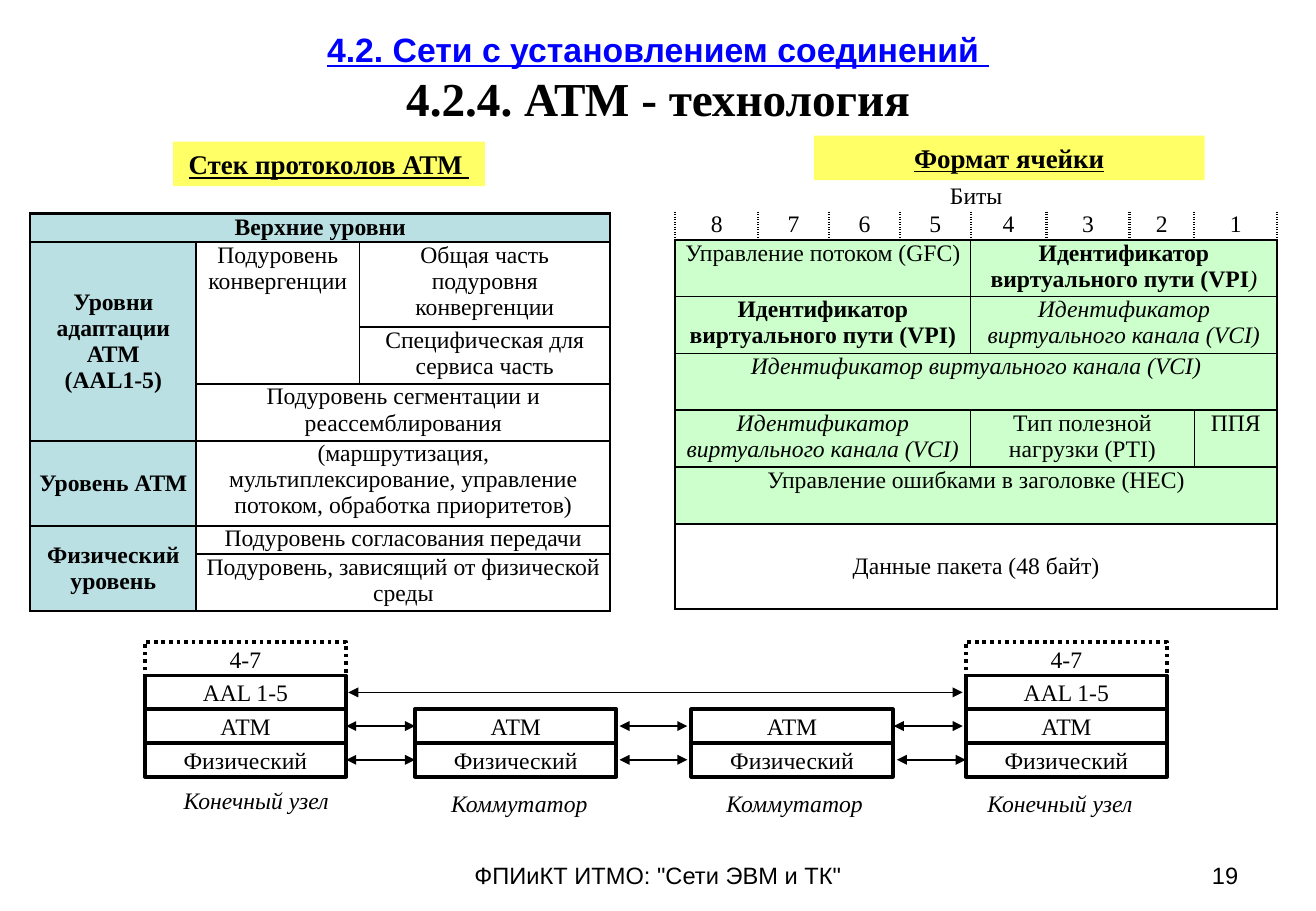
from lxml import etree
from pptx import Presentation
from pptx import util as u
from pptx.dml.color import RGBColor
from pptx.enum import dml, shapes, text
from pptx.oxml.ns import qn

UNIT = u.Inches(1) / 12
COLUMNS, ROWS = 130, 90
TEXT_ROW = 2.8
LEVEL_ROW = 3.33
PHYSICAL_TOP = 73.4
NODE_WIDTH = 19.9
SANS, SERIF = "Arial", "Times New Roman"
COLORS = {"ink": "000000", "title": "0000FF", "label": "FFFF66",
          "layer": "BBE0E3", "header": "CCFFCC", "paper": "FFFFFF"}
EDGES = {"T": 1.5, "t": 1, "d": 1.5}
LEVELS = ["Физический", "АТМ", "ААL 1-5", "4-7"]

STACK_CELLS = [
    (0, 0, 1, 3, "Верхние уровни", "layer", "b", "TTTT"),
    (1, 0, 3, 1, "Уровни адаптации АТМ\n(AAL1-5)", "layer", "b", "TTTT"),
    (1, 1, 2, 1, "Подуровень\nконвергенции", None, "", "TTtt"),
    (1, 2, 1, 1, "Общая часть подуровня конвергенции", None, "", "tTTt"),
    (2, 2, 1, 1, "Специфическая для сервиса часть", None, "", "ttTt"),
    (3, 1, 1, 2, "Подуровень сегментации и реассемблирования", None, "", "TtTT"),
    (4, 0, 1, 1, "Уровень АТМ", "layer", "b", "TTTT"),
    (4, 1, 1, 2, "(маршрутизация, мультиплексирование, управление потоком, "
     "обработка приоритетов)", None, "", "TTTT"),
    (5, 0, 2, 1, "Физический уровень", "layer", "b", "TTTT"),
    (5, 1, 1, 2, "Подуровень согласования передачи", None, "", "TTTt"),
    (6, 1, 1, 2, "Подуровень, зависящий от физической среды", None, "", "TtTT"),
]
VPI = "Идентификатор виртуального пути (VPI"
VCI = "Идентификатор виртуального канала (VCI)"
FORMAT_CELLS = [
    (0, 0, 1, 8, "Биты", None, "", "----"),
    *[(1, column, 1, 1, str(8 - column), None, "", "d-dT") for column in range(8)],
    (2, 0, 1, 4, "Управление потоком (GFC)", "header", "", "TTtt"),
    (2, 4, 1, 4, VPI + "|)", "header", "b|i", "tTTt"),
    (3, 0, 1, 4, VPI + ")", "header", "b", "Tttt"),
    (3, 4, 1, 4, VCI, "header", "i", "ttTt"),
    (4, 0, 1, 8, VCI, "header", "i", "TtTt"),
    (5, 0, 1, 4, VCI, "header", "i", "Tttt"),
    (5, 4, 1, 3, "Тип полезной\nнагрузки (PTI)", "header", "", "tttt"),
    (5, 7, 1, 1, "ППЯ", "header", "", "ttTt"),
    (6, 0, 1, 8, "Управление ошибками в заголовке (HEC)", "header", "", "TtTT"),
    (7, 0, 1, 8, "Данные пакета (48 байт)", None, "", "TTTT"),
]


def grid(*lengths):
    """Turn grid columns or rows into slide lengths."""
    return [u.Emu(round(length * UNIT)) for length in lengths]


def rgb(name):
    """Look up a named colour."""
    return RGBColor.from_string(COLORS[name])


def emphasize(font, style):
    """Apply the bold, italic and underline letters of a style."""
    font.bold, font.italic, font.underline = [letter in style for letter in "biu"]


def write_para(para, words, size=14, face=SERIF, color="ink", style="",
               align=text.PP_ALIGN.CENTER):
    """Write one paragraph whose spans and styles are parted by bars."""
    para.alignment = align
    para.font.size = u.Pt(size)
    para.font.name = face
    para.font.color.rgb = rgb(color)
    styles = style.split("|")
    if len(styles) == 1:
        emphasize(para.font, style)
    for part, part_style in zip(words.split("|"), styles):
        span = para.add_run()
        span.text = part
        if len(styles) > 1:
            emphasize(span.font, part_style)


def write(frame, words, **look):
    """Fill a text frame with one paragraph per line."""
    frame.word_wrap = True
    for index, line in enumerate(words.split("\n")):
        para = frame.add_paragraph() if index else frame.paragraphs[0]
        write_para(para, line, **look)


def set_insets(frame, across, down):
    """Set the side and the top and bottom insets."""
    frame.margin_left = frame.margin_right = u.Inches(across)
    frame.margin_top = frame.margin_bottom = u.Inches(down)


def add_text(page, place, words, **look):
    """Add a text box and return its frame."""
    frame = page.shapes.add_textbox(*grid(*place)).text_frame
    write(frame, words, **look)
    return frame


def add_box(page, place, words, fill, line=0, **look):
    """Add a filled rectangle with centred text."""
    box = page.shapes.add_shape(shapes.MSO_SHAPE.RECTANGLE, *grid(*place))
    box.shadow.inherit = False
    box.fill.solid()
    box.fill.fore_color.rgb = rgb(fill)
    if line:
        box.line.color.rgb = rgb("ink")
        box.line.width = u.Pt(line)
    else:
        box.line.fill.background()
    set_insets(box.text_frame, 0.02, 0.01)
    box.text_frame.vertical_anchor = text.MSO_ANCHOR.MIDDLE
    write(box.text_frame, words, **look)
    return box


def add_node(page, left, levels, caption, caption_place):
    """Add a network node as a stack of levels and return its boxes."""
    boxes = [add_box(page, (left, PHYSICAL_TOP - LEVEL_ROW * level, NODE_WIDTH, LEVEL_ROW),
                     LEVELS[level], "paper", 2.25)
             for level in reversed(range(levels))][::-1]
    if levels == len(LEVELS):
        boxes[-1].line.dash_style = dml.MSO_LINE.ROUND_DOT
    set_insets(add_text(page, caption_place, caption, style="i"), 0, 0)
    return boxes


def add_arrow(page, level, start, end, source=None, target=None):
    """Add a two-headed arrow at the middle of a level."""
    middle = PHYSICAL_TOP - LEVEL_ROW * (level - 0.5)
    arrow = page.shapes.add_connector(shapes.MSO_CONNECTOR.STRAIGHT,
                                      *grid(start, middle, end, middle))
    arrow.line.color.rgb = rgb("ink")
    arrow.line.width = u.Pt(1)
    line = arrow.line._get_or_add_ln()
    for tip in ("a:headEnd", "a:tailEnd"):
        etree.SubElement(line, qn(tip), type="triangle")
    etree.SubElement(arrow._element.spPr, qn("a:effectLst"))
    if source:
        arrow.begin_connect(source, 3)
    if target:
        arrow.end_connect(target, 1)


def set_edges(cell, edges):
    """Draw the left, top, right and bottom borders of a cell."""
    left, top, right, bottom = edges
    properties = cell._tc.get_or_add_tcPr()
    for side, kind in zip("LRTB", (left, right, top, bottom)):
        line = etree.SubElement(properties, qn(f"a:ln{side}"))
        if kind not in EDGES:
            etree.SubElement(line, qn("a:noFill"))
            continue
        line.set("w", str(u.Pt(EDGES[kind])))
        fill = etree.SubElement(line, qn("a:solidFill"))
        etree.SubElement(fill, qn("a:srgbClr"), val=COLORS["ink"])
        etree.SubElement(line, qn("a:prstDash"), val="sysDot" if kind == "d" else "solid")


def add_grid_table(page, left, top, widths, line_counts, cells):
    """Add a table of merged cells with rows sized by their text lines."""
    place = grid(left, top, sum(widths), TEXT_ROW * sum(line_counts))
    table = page.shapes.add_table(len(line_counts), len(widths), *place).table
    table.first_row = table.horz_banding = False
    for column, width in zip(table.columns, grid(*widths)):
        column.width = width
    for row, count in zip(table.rows, line_counts):
        row.height = grid(TEXT_ROW * count)[0]
    for row, column, tall, wide, words, fill, style, edges in cells:
        cell = table.cell(row, column)
        if tall * wide > 1:
            cell.merge(table.cell(row + tall - 1, column + wide - 1))
        for part in [table.cell(row + down, column + across)
                     for down in range(tall) for across in range(wide)]:
            set_insets(part, 0.07, 0)
            set_edges(part, edges)
            if fill:
                part.fill.solid()
                part.fill.fore_color.rgb = rgb(fill)
            else:
                part.fill.background()
        if fill == "layer" or row == 7:
            cell.vertical_anchor = text.MSO_ANCHOR.MIDDLE
        write(cell.text_frame, words, style=style)


def main():
    """Build the slide about the protocol stack and the cell format."""
    deck = Presentation()
    deck.slide_width, deck.slide_height = grid(COLUMNS, ROWS)
    page = deck.slides.add_slide(deck.slide_layouts[6])
    title = add_text(page, (6.5, 0.1, 117, 15), "4.2. Сети с установлением соединений ",
                     size=20, face=SANS, color="title", style="bu")
    title.vertical_anchor = text.MSO_ANCHOR.MIDDLE
    write_para(title.add_paragraph(), "4.2.4. АТМ - технология", size=28, style="b")
    add_box(page, (80.4, 13.4, 38.6, 4.4), "Формат ячейки", "label", size=16, style="bu")
    add_box(page, (17.1, 14, 30.8, 4.4), "Стек протоколов АТМ ", "label", size=16, style="bu")
    add_grid_table(page, 3, 21.1, (16.4, 16.1, 24.8), (1, 3, 2, 2, 3, 1, 2), STACK_CELLS)
    add_grid_table(page, 66.7, 18.1, (8.2, 7, 7, 7, 7.5, 8.2, 6.4, 8.2),
                   (1, 1, 2, 2, 2, 2, 2, 3), FORMAT_CELLS)
    sender = add_node(page, 14.3, 4, "Конечный узел", (14.3, 77.6, 22, 2.7))
    receiver = add_node(page, 95.4, 4, "Конечный узел", (93.7, 77.9, 22, 2.7))
    switch = add_node(page, 41, 2, "Коммутатор", (41.4, 77.9, 19.8, 2.7))
    add_node(page, 68.3, 2, "Коммутатор", (68.6, 77.9, 19.8, 2.7))
    for level in range(2):
        add_arrow(page, level, 34.2, 41, sender[level], switch[level])
        add_arrow(page, level, 61.2, 67.9)
    add_arrow(page, 0, 88.6, 95.4, target=receiver[0])
    add_arrow(page, 1, 88.3, 95.1)
    add_arrow(page, 2, 34.4, 95.1)
    add_text(page, (44.4, 84.5, 41.2, 3.7), 'ФПИиКТ ИТМО: "Сети ЭВМ и ТК"', face=SANS)
    add_text(page, (93.1, 84.5, 30.4, 3.7), "19", face=SANS, align=text.PP_ALIGN.RIGHT)
    deck.save("out.pptx")


if __name__ == "__main__":
    main()
